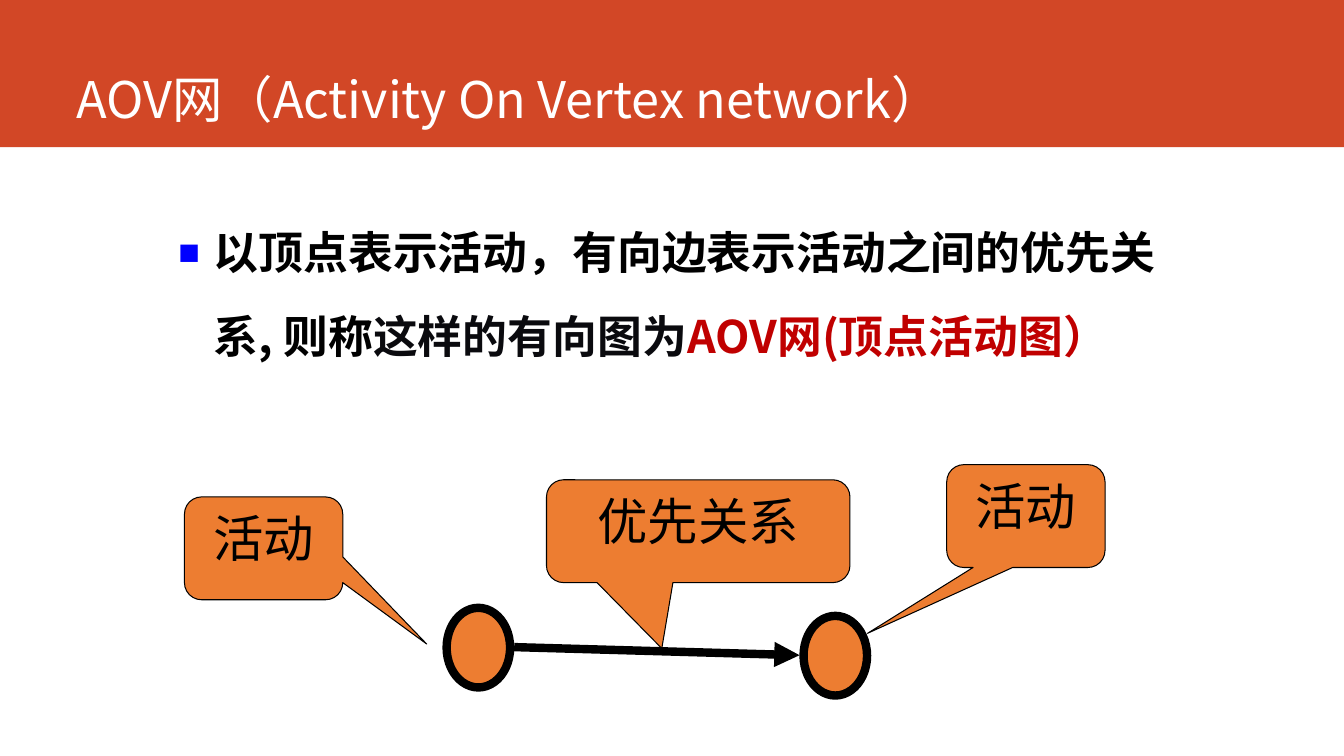
from lxml import etree
from pptx import Presentation
from pptx.dml.color import RGBColor
from pptx.enum.shapes import MSO_CONNECTOR, MSO_SHAPE
from pptx.enum.text import MSO_ANCHOR, PP_ALIGN
from pptx.oxml.ns import qn
from pptx.util import Pt

EMU_PER_PX = 9144
BANNER_RED = RGBColor(0xD2, 0x47, 0x26)
ORANGE = RGBColor(0xED, 0x7D, 0x31)
BLACK = RGBColor(0, 0, 0)
NEAR_BLACK = RGBColor(0x0A, 0x0A, 0x0E)
DARK_RED = RGBColor(0xC0, 0, 0)
WHITE = RGBColor(0xFF, 0xFF, 0xFF)
BULLET_BLUE = "0000FF"
CJK_FONT = "Noto Sans CJK SC"
LATIN_FONT = "Arial"
RECTANGLE = MSO_SHAPE.RECTANGLE
OVAL = MSO_SHAPE.OVAL
CALLOUT = MSO_SHAPE.ROUNDED_RECTANGULAR_CALLOUT
STRAIGHT = MSO_CONNECTOR.STRAIGHT
TOP = MSO_ANCHOR.TOP
BOTTOM = MSO_ANCHOR.BOTTOM
CENTER = PP_ALIGN.CENTER


def px(*lengths):
    return [length * EMU_PER_PX for length in lengths]


class SlideBuilder:
    def __init__(self, presentation):
        self.slide = presentation.slides.add_slide(presentation.slide_layouts[6])

    def format_run(self, run, size, color, font=CJK_FONT, bold=False):
        run.font.size = Pt(size)
        run.font.color.rgb = color
        run.font.name = font
        run.font.bold = bold
        east_asian = etree.SubElement(run.font._element, qn("a:ea"))
        east_asian.set("typeface", CJK_FONT)

    def shape(self, kind, box, fill, line_width=0):
        shape = self.slide.shapes.add_shape(kind, *px(*box))
        shape.shadow.inherit = False
        shape.fill.solid()
        shape.fill.fore_color.rgb = fill
        if line_width:
            shape.line.color.rgb = BLACK
            shape.line.width = Pt(line_width)
        else:
            shape.line.fill.background()
        return shape

    def text_box(self, box, anchor):
        text_frame = self.slide.shapes.add_textbox(*px(*box)).text_frame
        text_frame.word_wrap = True
        text_frame.vertical_anchor = anchor
        return text_frame

    def title(self, box, text):
        text_frame = self.text_box(box, BOTTOM)
        text_frame.text = text
        self.format_run(text_frame.paragraphs[0].runs[0], 36, WHITE)

    def bullet(self, box, parts):
        text_frame = self.text_box(box, TOP)
        text_frame.margin_left, text_frame.margin_top = px(6, 10)
        paragraph = text_frame.paragraphs[0]
        paragraph.line_spacing = 1.55
        properties = paragraph._p.get_or_add_pPr()
        margin, indent = px(48, -35)
        properties.set("marL", str(margin))
        properties.set("indent", str(indent))
        color = etree.SubElement(properties, qn("a:buClr"))
        etree.SubElement(color, qn("a:srgbClr")).set("val", BULLET_BLUE)
        etree.SubElement(properties, qn("a:buSzPct")).set("val", "80000")
        etree.SubElement(properties, qn("a:buFont")).set("typeface", LATIN_FONT)
        etree.SubElement(properties, qn("a:buChar")).set("char", "■")
        for text, text_color in parts:
            run = paragraph.add_run()
            run.text = text
            self.format_run(run, 32, text_color, bold=True)

    def callout(self, box, tip, text):
        shape = self.shape(CALLOUT, box, ORANGE, 0.75)
        shape.adjustments[0], shape.adjustments[1] = tip
        text_frame = shape.text_frame
        text_frame.vertical_anchor = TOP
        text_frame.text = text
        paragraph = text_frame.paragraphs[0]
        paragraph.alignment = CENTER
        self.format_run(paragraph.runs[0], 36, BLACK, LATIN_FONT)

    def arrow(self, start, end):
        connector = self.slide.shapes.add_connector(STRAIGHT, *px(*start, *end))
        connector.line.color.rgb = BLACK
        connector.line.width = Pt(6)
        line = connector.line._get_or_add_ln()
        etree.SubElement(line, qn("a:tailEnd")).set("type", "triangle")
        etree.SubElement(connector._element.spPr, qn("a:effectLst"))


def main():
    presentation = Presentation()
    presentation.slide_width, presentation.slide_height = px(1333, 750)
    builder = SlideBuilder(presentation)
    builder.shape(RECTANGLE, (0, 0, 1333, 146), BANNER_RED)
    builder.title((66, 0, 1176, 132), "AOV网（Activity On Vertex network）")
    builder.bullet((158, 184, 1038, 506), [
        ("以顶点表示活动，有向边表示活动之间的优先关系, 则称", BLACK),
        ("这样的有向图为", NEAR_BLACK),
        ("AOV网(顶点活动图）", DARK_RED),
    ])
    for left, top in [(443, 603), (797, 611)]:
        builder.shape(OVAL, (left, top, 63, 79), ORANGE, 6)
    builder.arrow((510, 642), (793, 650))
    for left, top, width, tip, text in [
        (939, 461, 157, (-1, 1.14), "活动"),
        (183, 493, 157, (1.03, 0.93), "活动"),
        (542, 476, 301, (-0.12, 1.14), "优先关系"),
    ]:
        builder.callout((left, top, width, 102), tip, text)
    presentation.save("out.pptx")


if __name__ == "__main__":
    main()
